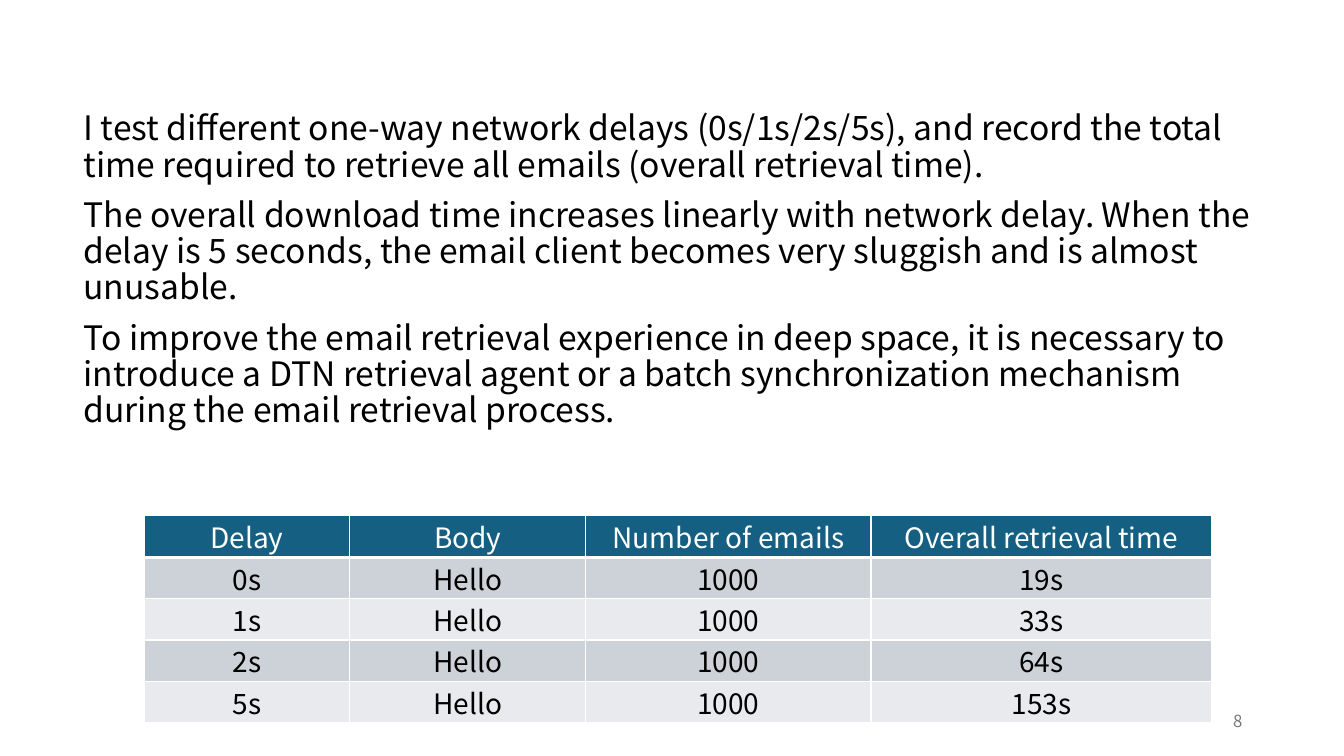
from dataclasses import dataclass

from lxml.etree import SubElement
from pptx import Presentation
from pptx.dml.color import RGBColor
from pptx.enum.text import MSO_ANCHOR as Anchor, PP_ALIGN as Align
from pptx.oxml.ns import qn
from pptx.util import Inches, Pt


@dataclass(frozen=True)
class Theme:
    text_font: str = "Noto Sans CJK SC"
    table_font: str = "Noto Sans CJK TC"
    black: str = "000000"
    white: str = "FFFFFF"
    gray: str = "797979"
    header_fill: str = "156082"
    row_fills: tuple = ("CCD2D8", "E8EAED")
    body_size: int = 24
    table_size: int = 20
    number_size: int = 12


theme = Theme()


def style_paragraph(paragraph, name, size, color, alignment=Align.LEFT):
    paragraph.alignment = alignment
    paragraph.font.name = name
    paragraph.font.size = Pt(size)
    paragraph.font.bold = False
    paragraph.font.color.rgb = RGBColor.from_string(color)


def set_borders(cell, color, widths):
    """Draw the cell edges; widths maps lnL, lnR, lnT and lnB, in that order, to points."""
    properties = cell._tc.get_or_add_tcPr()
    for position, (edge, width) in enumerate(widths.items()):
        line = SubElement(properties, qn(f"a:{edge}"), w=str(Pt(width)))
        SubElement(SubElement(line, qn("a:solidFill")), qn("a:srgbClr"), val=color)
        properties.insert(position, line)


presentation = Presentation()
presentation.slide_width = Inches(13.33)
presentation.slide_height = Inches(7.5)
slide = presentation.slides.add_slide(presentation.slide_layouts[6])

# Findings
findings = [
    "I test different one-way network delays (0s/1s/2s/5s), and record the total "
    "time required to retrieve all emails (overall retrieval time).",
    "The overall download time increases linearly with network delay. When the "
    "delay is 5 seconds, the email client becomes very sluggish and is almost unusable.",
    "To improve the email retrieval experience in deep space, it is necessary to "
    "introduce a DTN retrieval agent or a batch synchronization mechanism "
    "during the email retrieval process.",
]
findings_box = slide.shapes.add_textbox(
    Inches(0.73), Inches(1.06), Inches(11.77), Inches(3.32))
findings_frame = findings_box.text_frame
findings_frame.word_wrap = True
for index, finding in enumerate(findings):
    paragraph = findings_frame.add_paragraph() if index else findings_frame.paragraphs[0]
    paragraph.text = finding
    paragraph.line_spacing = 0.9
    paragraph.space_before = Pt(10 if index else 0)
    style_paragraph(paragraph, theme.text_font, theme.body_size, theme.black)

# Slide number
number_box = slide.shapes.add_textbox(
    Inches(9.42), Inches(6.95), Inches(3), Inches(0.4))
number_frame = number_box.text_frame
number_frame.word_wrap = True
number_frame.vertical_anchor = Anchor.MIDDLE
number_frame.text = "8"
style_paragraph(number_frame.paragraphs[0], theme.text_font, theme.number_size,
                theme.gray, Align.RIGHT)

# Retrieval times
headings = ["Delay", "Body", "Number of emails", "Overall retrieval time"]
retrieval_times = {"0s": "19s", "1s": "33s", "2s": "64s", "5s": "153s"}
rows = [headings] + [[delay, "Hello", "1000", total]
                     for delay, total in retrieval_times.items()]
column_widths = [2.04, 2.34, 2.83, 3.38]

table = slide.shapes.add_table(
    len(rows), len(headings),
    Inches(1.43), Inches(5.11), Inches(sum(column_widths)), Inches(2.04)).table
for column, width in zip(table.columns, column_widths):
    column.width = Inches(width)
for row_index, values in enumerate(rows):
    is_header = row_index == 0
    table.rows[row_index].height = Inches(0.42 if is_header else 0.41)
    fill = theme.header_fill if is_header else theme.row_fills[(row_index - 1) % 2]
    borders = {"lnL": 1, "lnR": 1, "lnT": 3 if row_index == 1 else 1,
               "lnB": 3 if is_header else 1}
    for column_index, value in enumerate(values):
        cell = table.cell(row_index, column_index)
        cell.margin_left = cell.margin_right = Inches(0)
        cell.margin_top = cell.margin_bottom = Inches(0)
        cell.vertical_anchor = Anchor.MIDDLE
        cell.fill.solid()
        cell.fill.fore_color.rgb = RGBColor.from_string(fill)
        set_borders(cell, theme.white, borders)
        cell.text = value
        style_paragraph(cell.text_frame.paragraphs[0], theme.table_font, theme.table_size,
                        theme.white if is_header else theme.black, Align.CENTER)

presentation.save("out.pptx")
